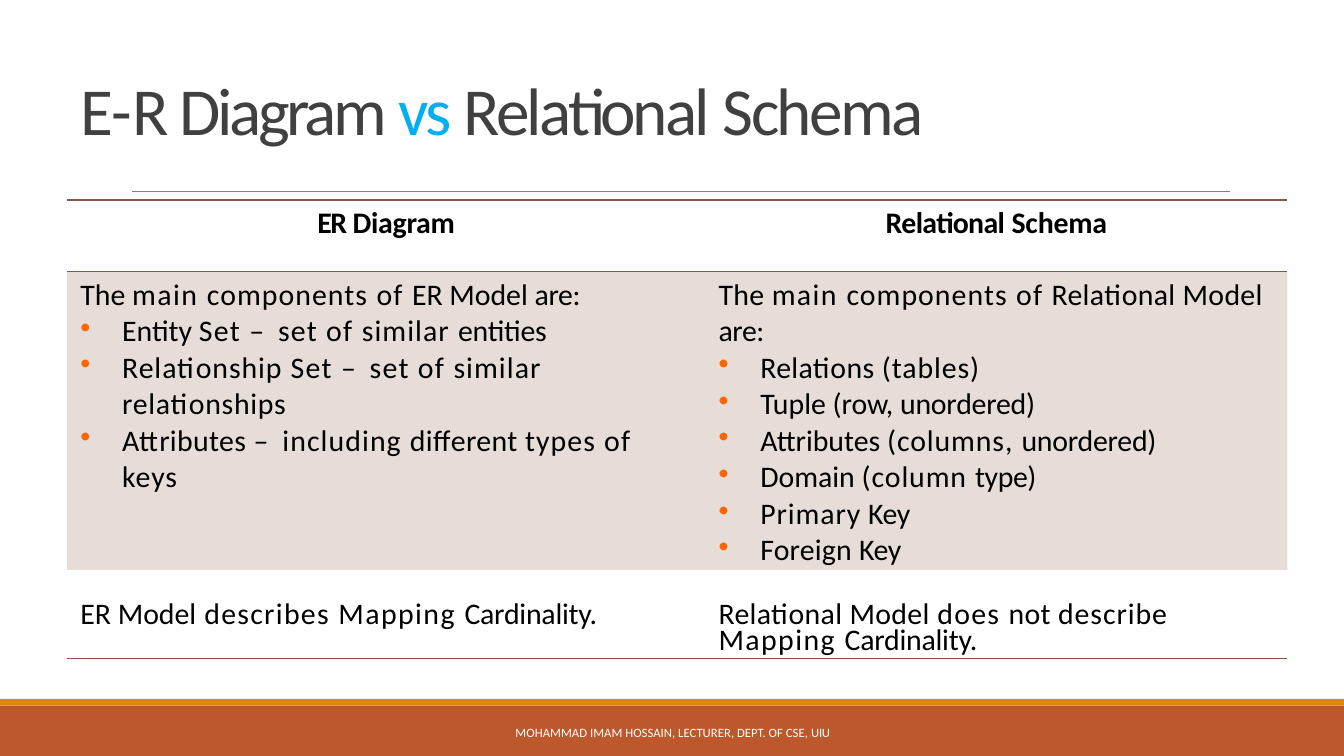
from dataclasses import dataclass

from lxml.etree import SubElement
from pptx import Presentation
from pptx.dml.color import RGBColor
from pptx.enum.shapes import MSO_CONNECTOR, MSO_SHAPE
from pptx.enum.text import MSO_ANCHOR, MSO_AUTO_SIZE, PP_ALIGN
from pptx.oxml import parse_xml
from pptx.oxml.ns import nsdecls, qn
from pptx.util import Cm, Pt


@dataclass(frozen=True)
class Theme:
    font: str = "Calibri"
    title_size: float = 36
    body_size: float = 16
    footer_size: float = 6.8
    title: str = "404040"
    accent: str = "00AFEF"
    body: str = "000000"
    bullet: str = "FF6600"
    table: str = "865640"
    rule: str = "808080"
    bar: str = "BD582C"
    stripe: str = "E48312"
    white: str = "FFFFFF"


THEME = Theme()
NO_TABLE_STYLE = "{2D5ABB26-0587-4C30-8999-92F81FD0307C}"
TEXT_INDENT = 0.25
BULLET_INDENT = 1.04
HANGING = 0.79
COLUMN_GAP = 1.0
ROW_HEIGHTS = (1.35, 5.64, 1.57)
TOP_MARGINS = (0.1, 0.1, 0.7)

# Each run is its text and its letter spacing in points, then a colour if it differs.
TITLE = [("E-", -0.2), ("R ", -2.3), ("Diagram ", -1.9), ("vs ", -1.8, THEME.accent),
         ("Relational ", -1.5), ("Schema", -1.4)]
FOOTER = [("MOHAMMAD IMAM HOSSAIN, LECTURER, DEPT. OF CSE, ", 0), ("UIU", -0.2)]
HEADERS = [
    [("ER ", -0.8), ("Diagram", -0.1)],
    [("Relational", -0.3), (" Schema", -0.1)],
]
MAIN_COMPONENTS = [("main ", 0.8), ("components ", 0.6), ("of ", 0.7)]
SET_OF_SIMILAR = [("Set ", 0.7), ("– ", 1.9), ("set of ", 0.7), ("similar ", 0.6)]
COMPONENTS = [
    [
        [("The ", 0), *MAIN_COMPONENTS, ("ER Model ", 0), ("are:", -0.2)],
        [("Entity ", 0), *SET_OF_SIMILAR, ("entities", -0.1)],
        [("Relationship ", 0.5), *SET_OF_SIMILAR, ("relationships", 0.4)],
        [("Attributes ", 0.2), ("– ", 1.9), ("including ", 0.6), ("different ", 0.2),
         ("types ", 0.6), ("of ", 0.7), ("keys", 0.5)],
    ],
    [
        [("The ", 0.2), *MAIN_COMPONENTS, ("Relational Model ", 0.2), ("are:", -0.2)],
        [("Relations ", 0.2), ("(tables)", 0.5)],
        [("Tuple (row, ", 0), ("unordered)", -0.1)],
        [("Attributes ", 0), ("(columns, ", 0.5), ("unordered)", -0.1)],
        [("Domain ", 0), ("(column ", 0.5), ("type)", -0.2)],
        [("Primary", 0.5), (" Key", -0.2)],
        [("Foreign ", 0.1), ("Key", -0.2)],
    ],
]
CARDINALITY = [
    [("ER Model", 0), (" describes ", 0.7), ("Mapping ", 0.8), ("Cardinality.", -0.1)],
    [("Relational Model ", 0.2), ("does ", 0.7), ("not ", 0.2), ("describe ", 0.5),
     ("Mapping ", 0.8), ("Cardinality.", -0.1)],
]


def write_text(paragraph, runs, *, size=THEME.body_size, color=THEME.body, bold=False,
               align=PP_ALIGN.LEFT, indent=0, bullet=False, line_spacing=None):
    paragraph.alignment = align
    if line_spacing:
        paragraph.line_spacing = Pt(line_spacing)
    properties = paragraph._p.get_or_add_pPr()
    properties.set("marL", str(Cm(indent)))
    properties.set("indent", str(Cm(-HANGING) if bullet else 0))
    if bullet:
        bullet_color = SubElement(properties, qn("a:buClr"))
        SubElement(bullet_color, qn("a:srgbClr"), val=THEME.bullet)
        SubElement(properties, qn("a:buChar"), char="•")
    for text, spacing, *own_color in runs:
        run = paragraph.add_run()
        run.text = text
        run.font.name = THEME.font
        run.font.size = Pt(size)
        run.font.bold = bold
        run.font.color.rgb = RGBColor.from_string(own_color[0] if own_color else color)
        run.font._element.set("spc", str(round(spacing * 100)))


def set_frame(frame, anchor, top=0):
    frame.margin_left = frame.margin_right = frame.margin_bottom = 0
    frame.margin_top = Cm(top)
    frame.vertical_anchor = anchor
    frame.word_wrap = True
    frame.auto_size = MSO_AUTO_SIZE.SHAPE_TO_FIT_TEXT


def add_bar(slide, left, top, width, height, color):
    bar = slide.shapes.add_shape(MSO_SHAPE.RECTANGLE, Cm(left), Cm(top), Cm(width), Cm(height))
    bar.shadow.inherit = False
    bar.fill.solid()
    bar.fill.fore_color.rgb = RGBColor.from_string(color)
    bar.line.fill.background()


def add_title(slide, left, top, width, height):
    title = slide.shapes.title
    title.left, title.top, title.width, title.height = map(Cm, (left, top, width, height))
    set_frame(title.text_frame, MSO_ANCHOR.BOTTOM, top=0.03)
    write_text(title.text_frame.paragraphs[0], TITLE, size=THEME.title_size,
               color=THEME.title, indent=TEXT_INDENT)


def add_rule(slide, left, top, width):
    rule = slide.shapes.add_connector(
        MSO_CONNECTOR.STRAIGHT, Cm(left), Cm(top), Cm(left + width), Cm(top))
    rule.line.color.rgb = RGBColor.from_string(THEME.rule)
    rule.line.width = Pt(0.5)
    SubElement(rule._element.spPr, qn("a:effectLst"))


def add_footer(slide, left, top, width, height):
    add_bar(slide, left, top, width, height, THEME.bar)
    add_bar(slide, left, top - 0.13, width, 0.13, THEME.stripe)
    text_width = 10.06
    box = slide.shapes.add_textbox(Cm(left + (width - text_width) / 2), Cm(top + 0.12),
                                   Cm(text_width), Cm(0.76))
    set_frame(box.text_frame, MSO_ANCHOR.MIDDLE)
    write_text(box.text_frame.paragraphs[0], FOOTER, size=THEME.footer_size,
               color=THEME.white, align=PP_ALIGN.CENTER, indent=0.03)


def add_border(cell, side):
    border = parse_xml(
        f'<a:{side} {nsdecls("a")} w="{Pt(1)}"><a:solidFill>'
        f'<a:srgbClr val="{THEME.table}"/></a:solidFill></a:{side}>')
    cell._tc.get_or_add_tcPr().insert(0, border)


def tint(cell):
    cell.fill.solid()
    cell.fill.fore_color.rgb = RGBColor.from_string(THEME.table)
    color = cell._tc.tcPr.find(".//" + qn("a:srgbClr"))
    SubElement(color, qn("a:alpha"), val="20000")


def add_comparison(slide, left, top, width, height):
    table = slide.shapes.add_table(3, 2, Cm(left), Cm(top), Cm(width), Cm(height)).table
    table.first_row = table.horz_banding = False
    table._tbl.tblPr.find(qn("a:tableStyleId")).text = NO_TABLE_STYLE
    first_width = (width - COLUMN_GAP) / 2 + 0.06 - COLUMN_GAP / 2 + 0.47
    for column, column_width in zip(table.columns, (first_width, width - first_width)):
        column.width = Cm(column_width)
    for row, row_height, margin in zip(table.rows, ROW_HEIGHTS, TOP_MARGINS):
        row.height = Cm(row_height)
        for cell in row.cells:
            cell.margin_left = cell.margin_right = cell.margin_bottom = 0
            cell.margin_top = Cm(margin)
            cell.fill.background()
    for column, shift in enumerate((0, COLUMN_GAP)):
        header, components, cardinality = (table.cell(row, column) for row in range(3))
        write_text(header.text_frame.paragraphs[0], HEADERS[column], bold=True,
                   align=PP_ALIGN.CENTER, indent=COLUMN_GAP)
        for side in ("lnB", "lnT"):
            add_border(header, side)
        frame = components.text_frame
        for number, runs in enumerate(COMPONENTS[column]):
            paragraph = frame.add_paragraph() if number else frame.paragraphs[0]
            indent = BULLET_INDENT if number else TEXT_INDENT
            write_text(paragraph, runs, indent=indent + shift, bullet=number > 0)
        tint(components)
        write_text(cardinality.text_frame.paragraphs[0], CARDINALITY[column],
                   indent=TEXT_INDENT + shift, line_spacing=13.9)
        add_border(cardinality, "lnB")


def main():
    presentation = Presentation()
    presentation.slide_width, presentation.slide_height = Cm(25.4), Cm(14.29)
    slide = presentation.slides.add_slide(presentation.slide_layouts[5])
    add_footer(slide, 0, 13.34, 25.4, 0.95)
    add_rule(slide, 2.49, 3.62, 20.75)
    add_title(slide, 1.27, -0.2, 20.96, 3.02)
    add_comparison(slide, 1.27, 3.78, 23.06, sum(ROW_HEIGHTS))
    presentation.save("out.pptx")


if __name__ == "__main__":
    main()
